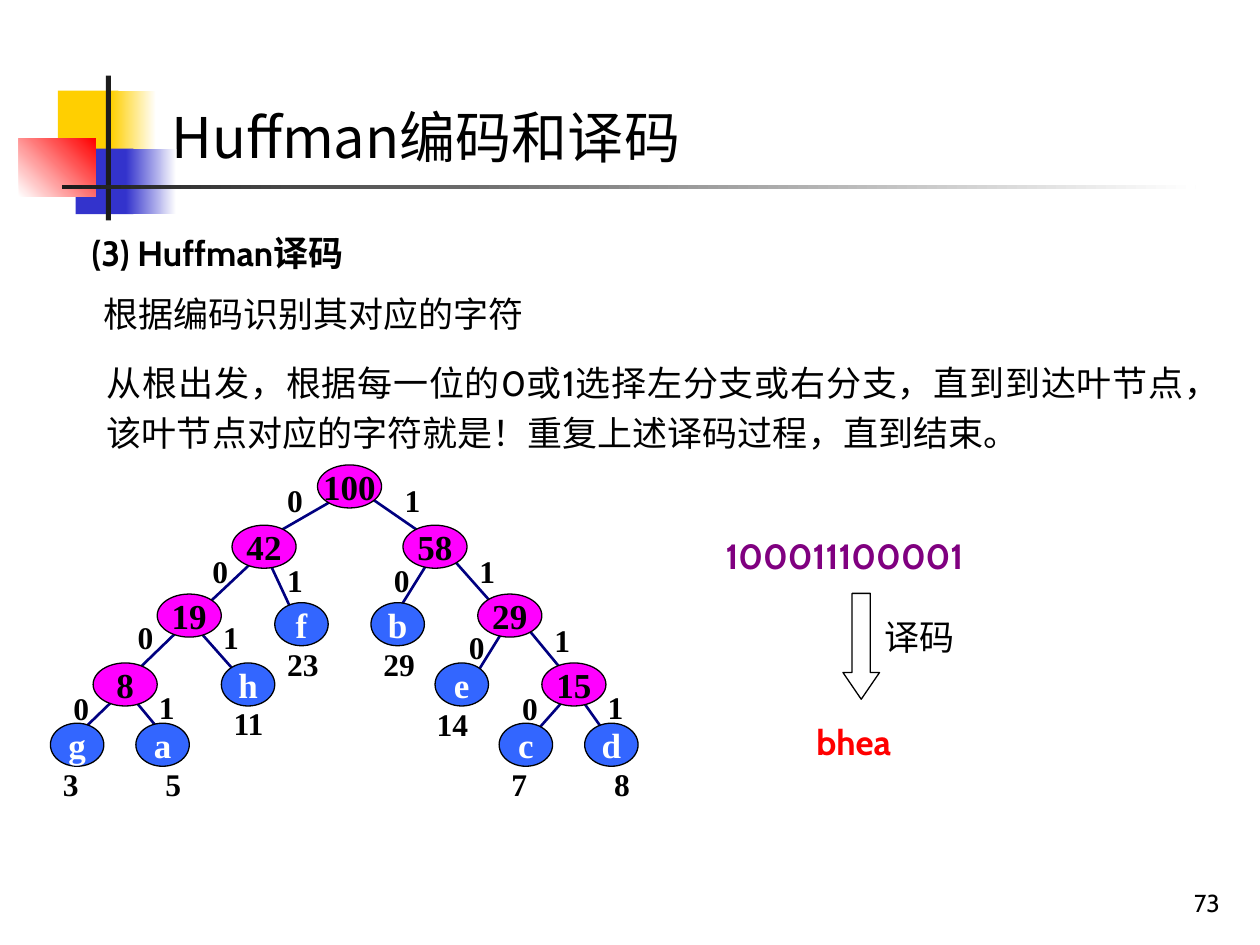
from lxml import etree
from pptx import Presentation, util as u
from pptx.dml.color import RGBColor
from pptx.enum import shapes, text
from pptx.oxml import ns

BLACK, WHITE = RGBColor(0, 0, 0), RGBColor(255, 255, 255)
GOLD, BLUE = RGBColor(0xFF, 0xCF, 0x01), RGBColor(0x33, 0x33, 0xCC)
RED, COAL = RGBColor(255, 0, 0), RGBColor(0x1C, 0x1C, 0x1C)
PINK, SKY = RGBColor(255, 0, 255), RGBColor(0x33, 0x66, 0xFF)
NAVY, PLUM = RGBColor(0, 0, 0x80), RGBColor(0x80, 0, 0x80)
CABIN, NOTO, TIMES = "Cabin", "Noto Sans CJK JP", "Times New Roman"
LEFT, RIGHT, MID, JUST = (text.PP_ALIGN.LEFT, text.PP_ALIGN.RIGHT,
                          text.PP_ALIGN.CENTER, text.PP_ALIGN.JUSTIFY)
TOP, CORE, LOW = (text.MSO_ANCHOR.TOP, text.MSO_ANCHOR.MIDDLE,
                  text.MSO_ANCHOR.BOTTOM)
KIND = shapes.MSO_SHAPE

deck = Presentation()
deck.slide_width, deck.slide_height = u.Inches(10), u.Inches(7.5)
slide = deck.slides.add_slide(deck.slide_layouts[5])
page = slide.shapes


def write(words, spot=None, into=None, size=20, font=CABIN, color=BLACK,
          bold=False, align=LEFT, anchor=TOP, lead=None, wrap=True):
    """Put words into a given shape, or into a new text box at spot."""
    box = into or page.add_textbox(*map(u.Inches, spot))
    frame = box.text_frame
    frame.word_wrap, frame.vertical_anchor = wrap, anchor
    frame.auto_size = text.MSO_AUTO_SIZE.NONE
    para = frame.paragraphs[0]
    para.alignment, para.line_spacing = align, lead
    run = para.add_run()
    run.text = words
    run.font.name, run.font.size, run.font.bold = font, u.Pt(size), bold
    run.font.color.rgb = color
    east = etree.SubElement(run.font._element, ns.qn("a:ea"))
    east.set("typeface", NOTO)


def draw(kind, spot, fill=None, fade=None, angle=0, line=None):
    """Add a shape; fade is the second colour of a gradient."""
    item = page.add_shape(kind, *map(u.Inches, spot))
    item.shadow.inherit = False
    if fade is not None:
        item.fill.gradient()
        item.fill.gradient_angle = angle
        for stop, tone in zip(item.fill.gradient_stops, (fill, fade)):
            stop.color.rgb = tone
    elif fill is not None:
        item.fill.solid()
        item.fill.fore_color.rgb = fill
    else:
        item.fill.background()
    if line is None:
        item.line.fill.background()
    else:
        item.line.color.rgb, item.line.width = line, u.Pt(0.75)
    return item


# Corner ornament
for spot, fill, fade, angle in (
        ((0.46, 0.72, 0.48, 0.52), GOLD, None, 0),
        ((0.88, 0.72, 0.36, 0.52), GOLD, WHITE, 0),
        ((0.6, 1.18, 0.46, 0.52), BLUE, None, 0),
        ((1, 1.18, 0.4, 0.52), BLUE, WHITE, 0),
        ((0.15, 1.1, 0.61, 0.46), WHITE, RED, 45),
        ((0.84, 0.6, 0.04, 1.15), COAL, None, 0),
        ((0.49, 1.47, 9, 0.03), COAL, WHITE, 0)):
    draw(KIND.RECTANGLE, spot, fill, fade, angle)

# Title and body
title = page.title
title.left, title.top, title.width, title.height = map(
    u.Inches, (1.26, 0.76, 8.74, 0.64))
write("Huffman编码和译码", into=title, size=32, font=NOTO)
write("(3) Huffman译码", (0.63, 1.72, 8.6, 0.5), bold=True, align=JUST, lead=1.2)
write("根据编码识别其对应的字符", (0.72, 2.21, 5.53, 0.5), align=JUST, lead=1.2)
write("从根出发，根据每一位的0或1选择左分支或右分支，直到到达叶节点，"
      "该叶节点对应的字符就是！重复上述译码过程，直到结束。",
      (0.75, 2.75, 8.75, 0.9), align=JUST, lead=1.2)
write("73", (7.7, 6.83, 2.08, 0.5), size=14, align=RIGHT, anchor=LOW)

# Code tree, on a fine grid of columns and rows
X, Y, COL, ROW = 0.4, 3.69, 4.24 / 50, 2.05 / 30

# Branches: start, end
for c1, r1, c2, r2 in (
        (28, 3, 21, 8), (29, 3, 36, 9),
        (20, 10, 14, 17), (20, 10, 23, 18),
        (36, 10, 32, 18), (37, 10, 42, 17),
        (13, 18, 8, 24), (13, 18, 18, 25),
        (43, 18, 39, 26), (44, 18, 48, 24),
        (7, 26, 2, 32), (7, 26, 11, 32),
        (49, 26, 44, 33), (49, 26, 53, 33)):
    edge = page.add_connector(
        shapes.MSO_CONNECTOR.STRAIGHT,
        u.Inches(X + c1 * COL), u.Inches(Y + r1 * ROW),
        u.Inches(X + c2 * COL), u.Inches(Y + r2 * ROW))
    edge.line.color.rgb, edge.line.width = NAVY, u.Pt(1.5)
    etree.SubElement(edge._element.spPr, ns.qn("a:effectLst"))

# Nodes: numbers are inner, letters are leaves
for name, col, row in (
        ("100", 25, 0), ("42", 17, 7), ("58", 33, 7), ("19", 10, 15),
        ("29", 40, 15), ("8", 4, 23), ("15", 46, 23),
        ("f", 21, 16), ("b", 30, 16), ("h", 16, 23), ("e", 36, 23),
        ("g", 0, 30), ("a", 8, 30), ("c", 42, 30), ("d", 50, 30)):
    leaf = name.isalpha()
    node = draw(KIND.OVAL,
                (X + col * COL, Y + row * ROW, (6 - leaf) * COL, 5 * ROW),
                SKY if leaf else PINK, line=BLACK)
    write(name, into=node, font=TIMES, color=WHITE if leaf else BLACK,
          bold=True, align=MID, anchor=CORE, wrap=False)

# Branch bits, then leaf weights
for name, col, row in (
        ("0", 21, 1.2), ("0", 14, 9.4), ("0", 31, 10.4), ("0", 38, 18.2),
        ("0", 7, 17.1), ("0", 1, 25.3), ("0", 43, 25.3),
        ("1", 32, 1.2), ("1", 39, 9.4), ("1", 46, 17.4), ("1", 51, 25.2),
        ("1", 21, 10.4), ("1", 15, 17.1), ("1", 9, 25.2),
        ("23", 21, 20.2), ("29", 30, 20.2), ("11", 16, 27), ("14", 35, 27.2),
        ("3", 0, 34.1), ("5", 9.6, 34.1), ("7", 42, 34.1), ("8", 51.6, 34.1)):
    write(name, (X + col * COL, Y + row * ROW, 6 * COL, 0.4),
          size=18, font=TIMES, bold=True)

# Decoding example
write("100011100001", (5.66, 4.19, 2.81, 0.44), color=PLUM, bold=True)
arrow = draw(KIND.DOWN_ARROW, (6.69, 4.71, 0.29, 0.84), line=BLACK)
arrow.adjustments[0], arrow.adjustments[1] = 0.5, 0.73
write("译码", (6.92, 4.77, 0.8, 0.5), align=JUST, lead=1.2)
write("bhea", (6.38, 5.6, 1.19, 0.5), color=RED, bold=True, align=JUST, lead=1.2)

deck.save("out.pptx")
